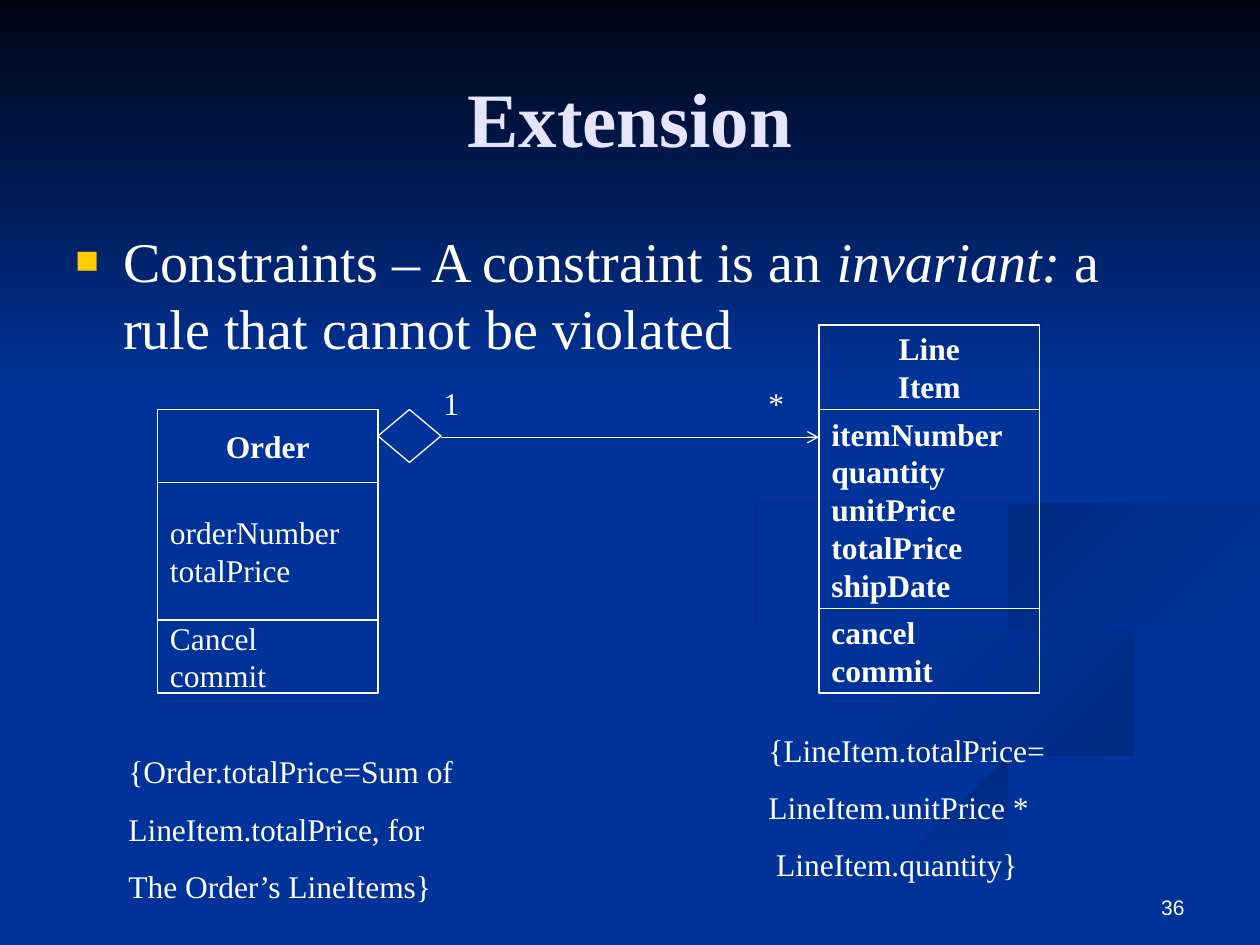
from lxml.etree import SubElement
from pptx import Presentation
from pptx.dml.color import RGBColor
from pptx.enum.shapes import MSO_CONNECTOR as Connector, MSO_SHAPE as Shape
from pptx.enum.text import MSO_ANCHOR as Anchor, MSO_AUTO_SIZE as AutoSize, PP_ALIGN as Align
from pptx.oxml.ns import qn
from pptx.util import Inches, Pt

COLORS = {"blue": "003399", "night": "000514", "swirl": "002B82", "title": "E5E5FF",
          "white": "FFFFFF", "bullet": "FFCC00"}
SERIF, SANS = "Times New Roman", "Arial"

# Background swirls: gradient start, gradient end, clockwise angle, points on a smooth outline
SWIRLS = [
    ("swirl", "blue", 45, [
        (7.62, 2.33), (8.76, 3.06), (8.7, 3.65), (7.04, 4.09), (5.8, 4.51), (6.22, 5),
        (6.06, 4.52), (7.39, 4.21), (8.76, 3.78), (8.8, 3.07)]),
    ("blue", "swirl", 45, [
        (7.24, 4.64), (7.58, 4.98), (9.05, 5.4), (9.43, 5.7), (8.94, 6.05), (9.15, 5.71),
        (8.38, 5.36), (7.46, 5)]),
    ("swirl", "blue", 45, [
        (9.98, 4.02), (8.65, 4.24), (7.81, 4.6), (8.26, 4.96), (8.09, 4.66), (8.78, 4.39),
        (9.98, 4.2)]),
    ("swirl", "blue", 90, [
        (5.03, 7.49), (6.3, 6.93), (7.97, 6.38), (9.98, 5.81), (9.98, 6.09), (7.52, 6.72)]),
]

TITLE = "Extension"
BODY = [("Constraints – A constraint is an ", False), ("invariant:", True),
        (" a rule that cannot be violated", False)]

CLASS_WIDTH = 1.75
# Class boxes: left, top, then compartments of (bottom, bold, lines); the first is the name
CLASSES = [
    (6.5, 2.58, [(3.25, True, ["Line", "Item"]),
                 (4.83, True, ["itemNumber", "quantity", "unitPrice", "totalPrice", "shipDate"]),
                 (5.5, True, ["cancel", "commit"])]),
    (1.25, 3.25, [(3.83, True, ["Order"]),
                  (4.92, False, ["orderNumber", "totalPrice"]),
                  (5.5, False, ["Cancel", "commit"])]),
]
# Multiplicities and constraints: left, top, width, height, lines
LABELS = [
    (3.42, 3, 0.42, 0.4, ["1"]),
    (6, 3, 0.42, 0.4, ["*"]),
    (0.92, 5.92, 3.25, 1.32,
     ["{Order.totalPrice=Sum of", "LineItem.totalPrice, for", "The Order’s LineItems}"]),
    (6, 5.75, 2.83, 1.32,
     ["{LineItem.totalPrice=", "LineItem.unitPrice *", " LineItem.quantity}"]),
]
PAGE_NUMBER = "36"


def rgb(name):
    return RGBColor.from_string(COLORS[name])


def style(font, size, color="white", bold=False, name=SERIF):
    font.size, font.bold, font.name = Pt(size), bold, name
    font.color.rgb = rgb(color)


def write(box, lines, size=18, bold=False, align=Align.LEFT, anchor=Anchor.TOP,
          gap=0, color="white", name=SERIF):
    """Fill a box with one paragraph per line; gap is the space between them in points."""
    frame = box.text_frame
    frame.word_wrap = True
    frame.auto_size = AutoSize.NONE
    frame.vertical_anchor = anchor
    frame.text = "\n".join(lines)
    for index, para in enumerate(frame.paragraphs):
        para.alignment = align
        para.space_before = Pt(gap if index else 0)
        for span in para.runs:
            style(span.font, size, color, bold, name)


def add_text_box(slide, *place):
    return slide.shapes.add_textbox(*map(Inches, place))


def smooth(points, steps=6):
    """Return a closed Catmull-Rom curve through the points, held inside the slide."""
    curve = []
    count = len(points)
    for index in range(count):
        corners = [points[(index + offset) % count] for offset in (-1, 0, 1, 2)]
        for step in range(steps):
            t = step / steps
            x, y = ((2 * b + (c - a) * t + (2 * a - 5 * b + 4 * c - d) * t ** 2
                     + (3 * b - a - 3 * c + d) * t ** 3) / 2 for a, b, c, d in zip(*corners))
            curve.append((min(x, 10), min(y, 7.5)))
    return curve


def fill_gradient(shape, start, end, angle):
    shape.shadow.inherit = False
    shape.line.fill.background()
    shape.fill.gradient()
    shape.fill.gradient_angle = (360 - angle) % 360
    for position, (stop, color) in enumerate(zip(shape.fill.gradient_stops, (start, end))):
        stop.color.rgb = rgb(color)
        stop.position = position


def add_backdrop(slide):
    slide.background.fill.solid()
    slide.background.fill.fore_color.rgb = rgb("blue")
    for start, end, angle, points in SWIRLS:
        curve = smooth(points)
        builder = slide.shapes.build_freeform(*curve[0], scale=Inches(1))
        builder.add_line_segments(curve[1:], close=True)
        fill_gradient(builder.convert_to_shape(), start, end, angle)
    sky = slide.shapes.add_shape(Shape.RECTANGLE, 0, 0, Inches(10), Inches(3.08))
    fill_gradient(sky, "night", "blue", 90)


def add_body(slide):
    frame = add_text_box(slide, 0.5, 1.75, 9, 1.25).text_frame
    frame.word_wrap = True
    para = frame.paragraphs[0]
    properties = para._p.get_or_add_pPr()
    properties.set("marL", str(Inches(0.38)))
    properties.set("indent", str(-Inches(0.38)))
    bullet_color = SubElement(properties, qn("a:buClr"))
    SubElement(bullet_color, qn("a:srgbClr"), val=COLORS["bullet"])
    SubElement(properties, qn("a:buSzPct"), val="70000")
    SubElement(properties, qn("a:buFont"), typeface=SANS)
    SubElement(properties, qn("a:buChar"), char="■")
    for text, italic in BODY:
        span = para.add_run()
        span.text = text
        style(span.font, 32)
        span.font.italic = italic


def add_outline(slide, preset, *place):
    shape = slide.shapes.add_shape(preset, *map(Inches, place))
    shape.shadow.inherit = False
    shape.fill.background()
    shape.line.color.rgb = rgb("white")
    shape.line.width = Pt(0.75)
    return shape


def add_class(slide, left, top, compartments):
    for index, (bottom, bold, lines) in enumerate(compartments):
        box = add_outline(slide, Shape.RECTANGLE, left, top, CLASS_WIDTH, bottom - top)
        write(box, lines, bold=bold, anchor=Anchor.MIDDLE,
              align=Align.LEFT if index else Align.CENTER)
        top = bottom


def add_aggregation(slide):
    add_outline(slide, Shape.DIAMOND, 3, 3.25, 0.5, 0.42)
    arrow = slide.shapes.add_connector(Connector.STRAIGHT, *map(Inches, (3.5, 3.47, 6.5, 3.47)))
    arrow.line.color.rgb = rgb("white")
    arrow.line.width = Pt(0.75)
    SubElement(arrow.line._get_or_add_ln(), qn("a:tailEnd"), type="arrow")
    SubElement(arrow._element.spPr, qn("a:effectLst"))


def main():
    deck = Presentation()
    deck.slide_width, deck.slide_height = Inches(10), Inches(7.5)
    slide = deck.slides.add_slide(deck.slide_layouts[5])
    add_backdrop(slide)

    title = slide.shapes.title
    title.left, title.top, title.width, title.height = map(Inches, (0.5, 0.3, 9, 1.25))
    write(title, [TITLE], 44, True, Align.CENTER, Anchor.MIDDLE, color="title")
    # The backdrop is drawn first, so the title goes on top of it
    slide.shapes._spTree.append(title._element)

    add_body(slide)
    for left, top, compartments in CLASSES:
        add_class(slide, left, top, compartments)
    add_aggregation(slide)
    for *place, lines in LABELS:
        write(add_text_box(slide, *place), lines, gap=11.2)
    write(add_text_box(slide, 7.17, 6.83, 2.33, 0.52), [PAGE_NUMBER], 12,
          align=Align.RIGHT, anchor=Anchor.BOTTOM, name=SANS)
    deck.save("out.pptx")


if __name__ == "__main__":
    main()
